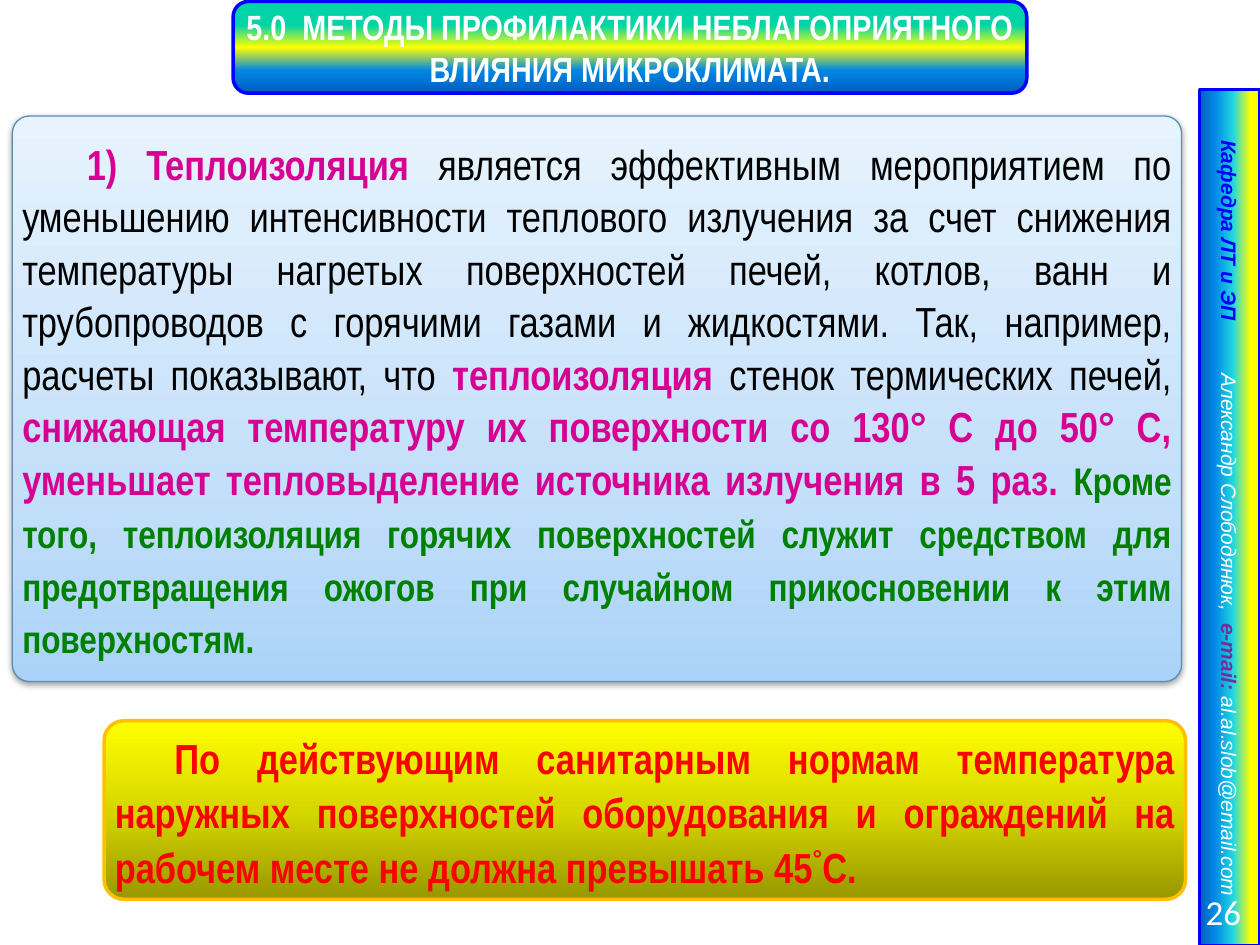
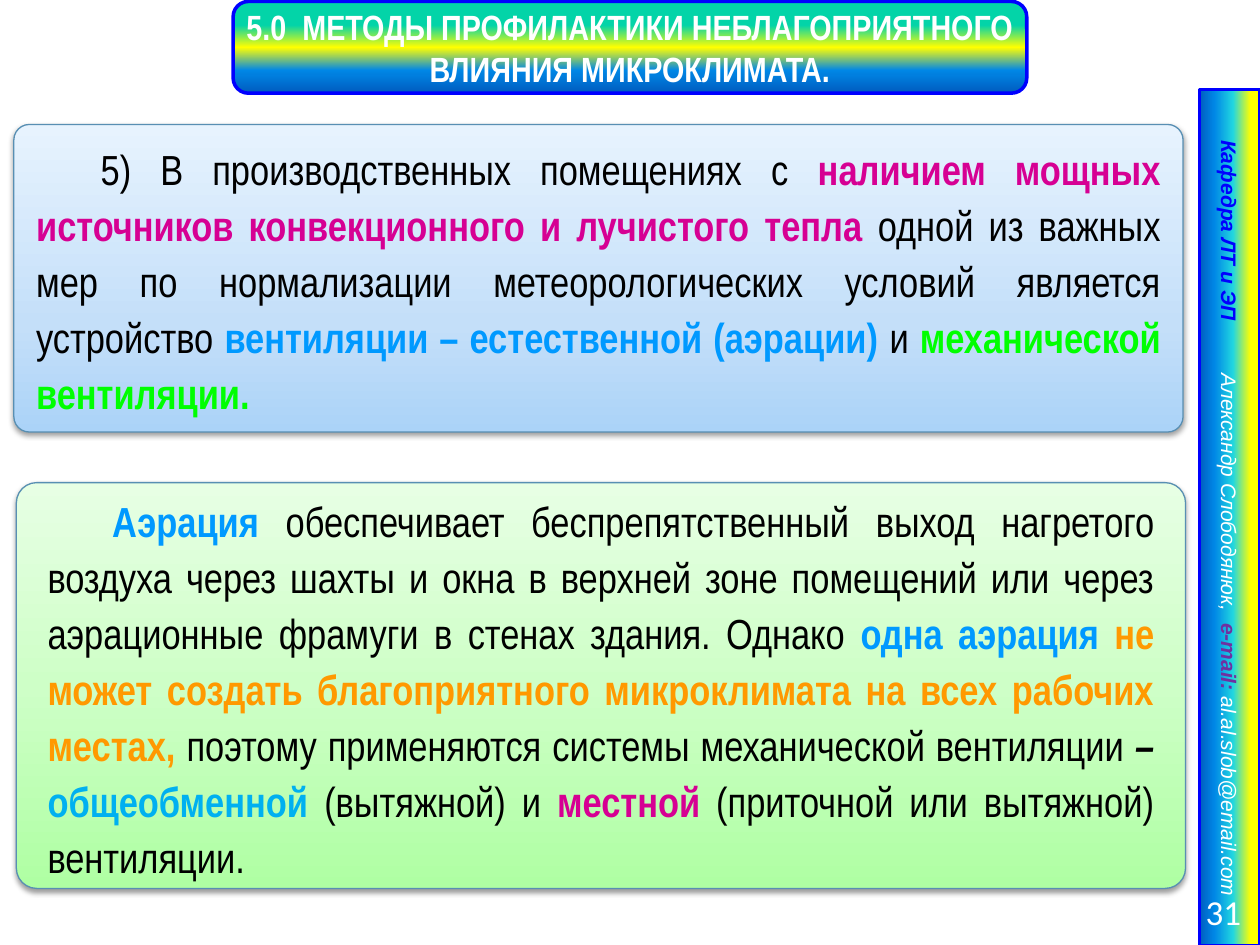
from lxml import etree
from pptx import Presentation
from pptx.dml.color import RGBColor
from pptx.enum.shapes import MSO_SHAPE
from pptx.enum.text import MSO_ANCHOR, PP_ALIGN
from pptx.oxml.ns import qn
from pptx.util import Cm, Pt

RECTANGLE, ROUNDED = MSO_SHAPE.RECTANGLE, MSO_SHAPE.ROUNDED_RECTANGLE
MIDDLE = MSO_ANCHOR.MIDDLE
LEFT, CENTER, RIGHT, JUSTIFY = (
    PP_ALIGN.LEFT, PP_ALIGN.CENTER, PP_ALIGN.RIGHT, PP_ALIGN.JUSTIFY)

COLOURS = {
    "white": "FFFFFF", "black": "000000", "red": "FF0000", "magenta": "D60093",
    "green": "008000", "lime": "00FF00", "sky": "0099FF", "cyan": "00B0F0",
    "orange": "FF9900", "purple": "7030A0", "blue": "0000FF",
    "gold": "FFC000", "steel": "588FB3",
}
GRADIENTS = {
    "title": [(26, "03D4A8"), (50, "FFFF00"), (75, "0087E6"), (100, "005CBF")],
    "sidebar": [(15, "FFFF00"), (44, "21D6E0"), (75, "0087E6"), (100, "005CBF")],
    "blue": [(0, "ABD3F8"), (35, "C4DFF9"), (100, "E7F3FE")],
    "green": [(0, "AFFFA3"), (50, "CEFFC7"), (100, "E7FFE4")],
    "yellow": [(0, "979700"), (50, "D7D700"), (100, "FFFF00")],
}
DOWNWARD, UPWARD = 270, 90
TITLE = "5.0  МЕТОДЫ ПРОФИЛАКТИКИ НЕБЛАГОПРИЯТНОГО ВЛИЯНИЯ МИКРОКЛИМАТА."


def colour(name):
    return RGBColor.from_string(COLOURS[name])


class Lecture:
    """Holds the deck, its style and the slide being filled."""

    font = "Arial Narrow"
    inset = 0.1
    body_size = 24

    def __init__(self):
        self.deck = Presentation()
        self.deck.slide_width, self.deck.slide_height = Cm(25.4), Cm(19.05)
        self.page = None

    def new_page(self, number):
        self.page = self.deck.slides.add_slide(self.deck.slide_layouts[6])
        self.title()
        self.sidebar()
        self.page_number(number)

    def box(self, kind, place, gradient, angle, line, width):
        shape = self.page.shapes.add_shape(kind, *map(Cm, place))
        shape.shadow.inherit = False
        shape.fill.gradient()
        shape.fill.gradient_angle = angle
        stops = shape._element.spPr.find(qn("a:gradFill")).find(qn("a:gsLst"))
        for stop in list(stops):
            stops.remove(stop)
        for position, value in GRADIENTS[gradient]:
            stop = etree.SubElement(stops, qn("a:gs"), pos=str(position * 1000))
            etree.SubElement(stop, qn("a:srgbClr"), val=value)
        shape.line.color.rgb = colour(line)
        shape.line.width = Pt(width)
        return shape

    def soft_shadow(self, shape):
        effects = shape._element.spPr.find(qn("a:effectLst"))
        shadow = etree.SubElement(
            effects, qn("a:outerShdw"), blurRad=str(Pt(3.1)), dist=str(Pt(1.6)),
            dir="5400000", rotWithShape="0")
        tint = etree.SubElement(shadow, qn("a:srgbClr"), val=COLOURS["black"])
        etree.SubElement(tint, qn("a:alpha"), val="38000")

    def text(self, shape, spans, align, size, font=None, side=None, indent=0,
             spacing=None, tab=None):
        """Fill a shape with one paragraph of (text, colour, bold, extras) spans."""
        frame = shape.text_frame
        frame.word_wrap = True
        frame.vertical_anchor = MIDDLE
        frame.margin_top = frame.margin_bottom = Cm(self.inset)
        frame.margin_left = frame.margin_right = Cm(side or self.inset)
        para = frame.paragraphs[0]
        para.alignment = align
        if spacing:
            para.line_spacing = Pt(spacing)
        properties = para._p.get_or_add_pPr()
        if indent:
            properties.set("indent", str(Cm(indent)))
        if tab:
            tabs = etree.SubElement(properties, qn("a:tabLst"))
            etree.SubElement(tabs, qn("a:tab"), pos=str(Cm(tab)), algn="l")
        para.font.name = font or self.font
        para.font.size = Pt(size)
        for words, tint, bold, *extras in spans:
            span = para.add_run()
            span.text = words
            span.font.color.rgb = colour(tint)
            span.font.bold = bold
            for extra in extras:
                if "size" in extra:
                    span.font.size = Pt(extra["size"])
                if "italic" in extra:
                    span.font.italic = extra["italic"]
                if "raised" in extra:
                    span._r.get_or_add_rPr().set(
                        "baseline", str(extra["raised"] * 1000))
        return para

    def title(self):
        shape = self.box(ROUNDED, (4.7, 0.03, 16, 1.85), "title", DOWNWARD, "blue", 2)
        self.text(shape, [(TITLE, "white", True)], CENTER, 20)

    def sidebar(self):
        bar = self.box(RECTANGLE, (16.15, 9.83, 17.27, 1.22), "sidebar", DOWNWARD,
                       "blue", 2)
        bar.rotation = 90
        para = self.text(bar, [
            ("Кафедра ЛТ и ЭП\t", "blue", True),
            ("Александр Слободянюк,  ", "white", False),
            ("e-mail: ", "purple", True),
            ("al.al.slob@email.com", "white", False),
        ], LEFT, 12, font="Arial", side=1.02, tab=4.7)
        bar.text_frame.margin_right = Cm(0.1)
        para.font.italic = True

    def page_number(self, number):
        box = self.page.shapes.add_textbox(Cm(22.5), Cm(17.86), Cm(2.77), Cm(1.02))
        self.text(box, [(str(number), "white", False)], RIGHT, 20,
                  font="Calibri", side=0.25)

    def panel(self, place, gradient, spans, corner, spacing, side=None):
        shape = self.box(ROUNDED, place, gradient, UPWARD, "steel", 0.75)
        shape.adjustments[0] = corner
        self.soft_shadow(shape)
        self.text(shape, spans, JUSTIFY, self.body_size, side=side, indent=1.3,
                  spacing=spacing)

    def rule(self, place, spans):
        """Yellow box with a sanitary norm."""
        shape = self.box(ROUNDED, place, "yellow", UPWARD, "gold", 2)
        shape.adjustments[0] = 0.11
        self.text(shape, spans, JUSTIFY, self.body_size, indent=1.2, spacing=31)


def insulation(lecture):
    lecture.new_page(26)
    lecture.rule((2.1, 14.53, 21.8, 3.6), [
        ("По действующим санитарным нормам температура наружных поверхностей "
         "оборудования и ограждений на рабочем месте не должна превышать 45",
         "red", True),
        ("°", "red", True, {"raised": 36}),
        ("С.", "red", True),
    ])
    lecture.panel((0.25, 2.34, 23.57, 11.4), "blue", [
        ("1) Теплоизоляция ", "magenta", True),
        ("является эффективным мероприятием по уменьшению интенсивности теплового "
         "излучения за счет снижения температуры нагретых поверхностей печей, "
         "котлов, ванн и трубопроводов с горячими газами и жидкостями. Так, "
         "например, расчеты показывают, что ", "black", False),
        ("теплоизоляция ", "magenta", True),
        ("стенок термических печей, ", "black", False),
        ("снижающая температуру их поверхности со 130° С до 50° С, уменьшает "
         "тепловыделение источника излучения в 5 раз. ", "magenta", True),
        ("Кроме того, теплоизоляция горячих поверхностей служит средством для "
         "предотвращения ожогов при случайном прикосновении к этим поверхностям.",
         "green", True, {"size": 22}),
    ], corner=0.03, spacing=30)


def ventilation(lecture):
    lecture.new_page(31)
    lecture.panel((0.28, 2.51, 23.57, 6.2), "blue", [
        ("5) В производственных помещениях с ", "black", False),
        ("наличием мощных источников конвекционного и лучистого тепла ",
         "magenta", True),
        ("одной из важных мер по нормализации метеорологических условий является "
         "устройство ", "black", False),
        ("вентиляции – естественной (аэрации) ", "sky", True),
        ("и ", "black", False),
        ("механической вентиляции.", "lime", True),
    ], corner=0.05, spacing=32, side=0.36)
    lecture.panel((0.33, 9.73, 23.57, 8.18), "green", [
        ("Аэрация ", "sky", True),
        ("обеспечивает беспрепятственный выход нагретого воздуха через шахты и окна "
         "в верхней зоне помещений или через аэрационные фрамуги в стенах здания. "
         "Однако ", "black", False),
        ("одна аэрация ", "sky", True),
        ("не может создать благоприятного микроклимата на всех рабочих местах, ",
         "orange", True),
        ("поэтому применяются системы механической вентиляции ", "black", False),
        ("– ", "black", True, {"italic": True}),
        ("общеобменной ", "cyan", True),
        ("(вытяжной) и ", "black", False),
        ("местной ", "magenta", True),
        ("(приточной или вытяжной) вентиляции.", "black", False),
    ], corner=0.05, spacing=32, side=0.51)


def main():
    lecture = Lecture()
    insulation(lecture)
    ventilation(lecture)
    lecture.deck.save("out.pptx")


if __name__ == "__main__":
    main()
